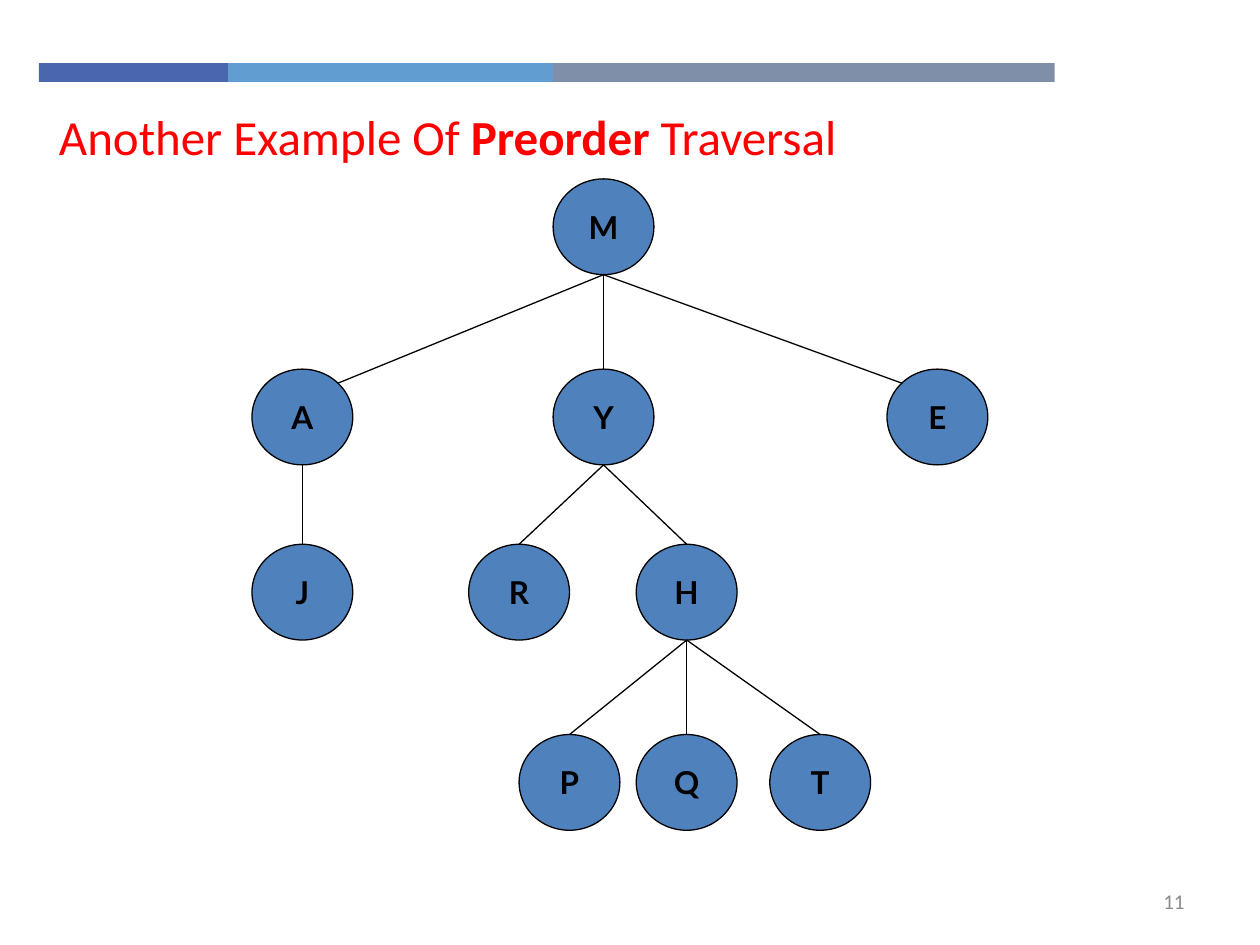
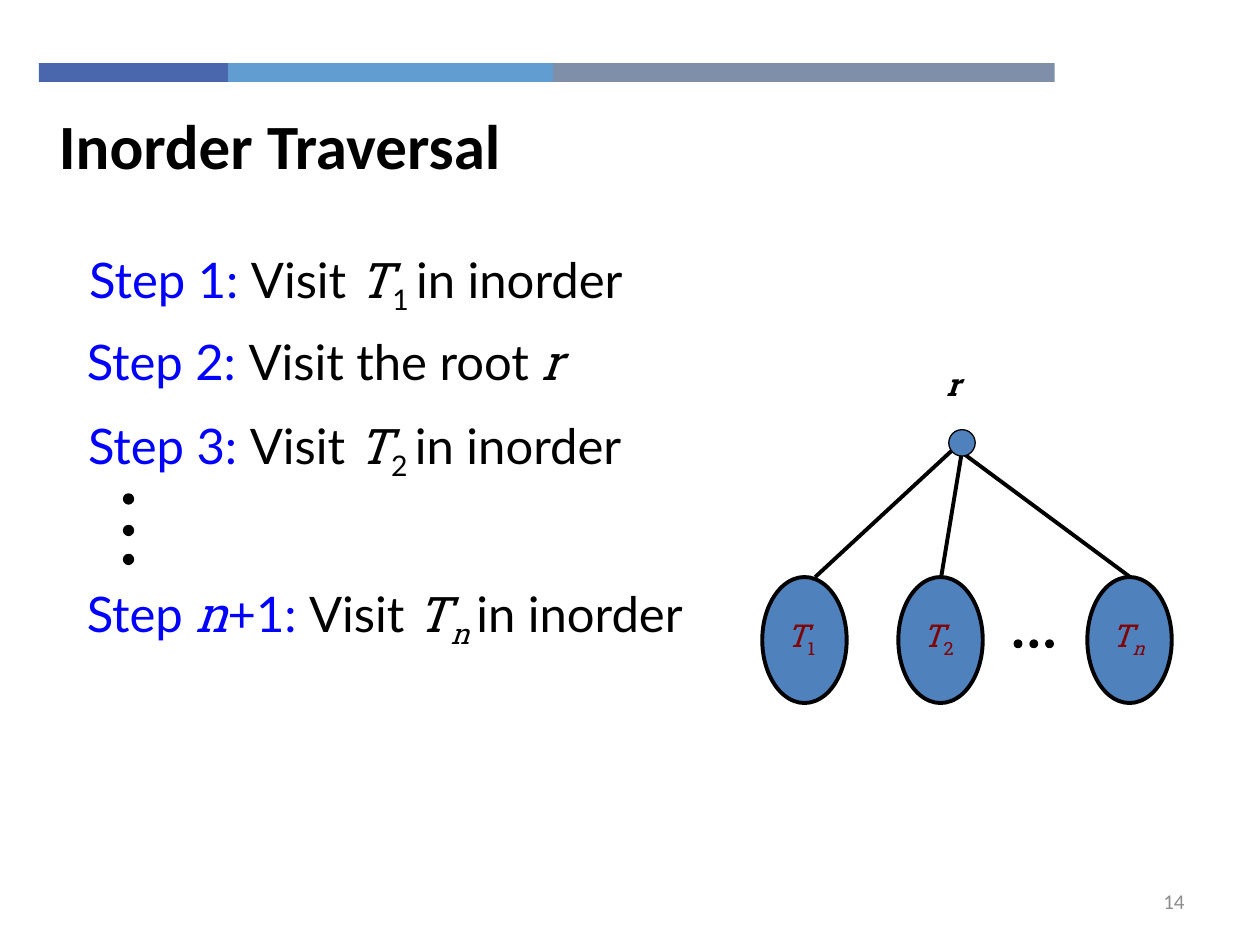
from math import sqrt
from lxml.etree import SubElement
from pptx import Presentation
from pptx.dml.color import RGBColor
from pptx.enum.shapes import MSO_CONNECTOR, MSO_SHAPE
from pptx.enum.text import MSO_ANCHOR, PP_ALIGN
from pptx.oxml.ns import qn
from pptx.util import Inches, Pt


def tint(code):
    return RGBColor.from_string(code)


class Deck:
    """Holds the shared style and the current slide."""
    BLACK, BLUE, RED = "000000", "0000FF", "FF0000"
    NODE, LABEL, GREY = "4F81BD", "800000", "8C8C8C"
    HEAD, BODY, MATH = "Calibri", "Lato", "Roboto Slab"
    BANDS = [(1.5, "4A66AC"), (2.58, "629DD1"), (3.98, "7F8FA9")]

    def __init__(self):
        self.file = Presentation()
        self.file.slide_width, self.file.slide_height = Inches(10), Inches(7.5)

    def page(self, title, size, color, number):
        """Start a slide with its bands, title and number."""
        self.slide = self.file.slides.add_slide(self.file.slide_layouts[6])
        left = 0.31
        for width, fill in self.BANDS:
            self.shape(MSO_SHAPE.RECTANGLE, left, 0.5, width, 0.15, fill)
            left += width
        self.text(0.37, 0.8, 7.16, 0.54, title, size, self.HEAD, color)
        self.text(7.17, 6.95, 2.33, 0.4, [(number, "")], 12, self.HEAD,
                  self.GREY, PP_ALIGN.RIGHT, MSO_ANCHOR.MIDDLE)

    def shape(self, kind, left, top, width, height, fill, line=0):
        item = self.slide.shapes.add_shape(
            kind, Inches(left), Inches(top), Inches(width), Inches(height))
        item.shadow.inherit = False
        item.fill.solid()
        item.fill.fore_color.rgb = tint(fill)
        if line:
            item.line.color.rgb = tint(self.BLACK)
            item.line.width = Pt(line)
        else:
            item.line.fill.background()
        return item

    def oval(self, left, top, width, height, fill=NODE, line=0.75):
        return self.shape(MSO_SHAPE.OVAL, left, top, width, height, fill, line)

    def line(self, start, end, width=0.75):
        item = self.slide.shapes.add_connector(
            MSO_CONNECTOR.STRAIGHT, *(Inches(v) for v in (*start, *end)))
        item.line.color.rgb = tint(self.BLACK)
        item.line.width = Pt(width)
        SubElement(item._element.spPr, qn("a:effectLst"))

    def text(self, left, top, width, height, runs, size, font,
             color=BLACK, align=PP_ALIGN.LEFT, anchor=MSO_ANCHOR.TOP, wrap=True):
        box = self.slide.shapes.add_textbox(
            Inches(left), Inches(top), Inches(width), Inches(height))
        self.label(box.text_frame, runs, size, font, color, align, anchor, wrap)

    def label(self, frame, runs, size, font, color, align, anchor, wrap):
        """Run flags: b bold, i italic, m math font, s subscript, c blue."""
        frame.word_wrap, frame.vertical_anchor = wrap, anchor
        par = frame.paragraphs[0]
        par.alignment = align
        par.font.size, par.font.name = Pt(size), font
        par.font.color.rgb = tint(color)
        for words, flags in runs:
            run = par.add_run()
            run.text = words
            if "b" in flags:
                run.font.bold = True
            if "i" in flags:
                run.font.italic = True
            if "m" in flags:
                run.font.name = self.MATH
            if "c" in flags:
                run.font.color.rgb = tint(self.BLUE)
            if "s" in flags:
                run._r.get_or_add_rPr().set("baseline", "-25000")


deck = Deck()

# Slide 1: preorder example
deck.page([("Another Example Of ", ""), ("Preorder", "b"), (" Traversal", "")],
          28, deck.RED, "11")
WIDE, HIGH = 0.8, 0.76
ROWS = [1.42, 2.93, 4.32, 5.83]
NODES = {"M": (4.39, 0), "A": (2, 1), "Y": (4.39, 1), "E": (7.04, 1),
         "J": (2, 2), "R": (3.72, 2), "H": (5.05, 2),
         "P": (4.12, 3), "Q": (5.05, 3), "T": (6.11, 3)}
for name, (left, row) in NODES.items():
    node = deck.oval(left, ROWS[row], WIDE, HIGH)
    deck.label(node.text_frame, [(name, "b")], 18, deck.BODY, deck.BLACK,
               PP_ALIGN.CENTER, MSO_ANCHOR.MIDDLE, False)


def rim(name, dx, dy):
    """Point on a node's edge, in the direction of a unit vector."""
    left, row = NODES[name]
    return left + WIDE / 2 * (1 + dx), ROWS[row] + HIGH / 2 * (1 + dy)


SLANT = 1 / sqrt(2)
SIDES = {"A": (SLANT, -SLANT), "E": (-SLANT, -SLANT)}
for top, kids in {"M": "AYE", "Y": "RH", "A": "J", "H": "PQT"}.items():
    for kid in kids:
        deck.line(rim(top, 0, 1), rim(kid, *SIDES.get(kid, (0, -1))))

# Slide 2: inorder steps
deck.page([("Inorder Traversal", "b")], 36, deck.BLACK, "14")


def visit(sub, flags):
    return [("Visit ", ""), ("T", "im"), (sub + " ", flags), ("in inorder", "")]


STEPS = [
    (0.61, 1.93, 4.87, [("Step 1: ", "c")] + visit("1", "s")),
    (0.59, 2.58, 4.51,
     [("Step 2: ", "c"), ("Visit the root ", ""), ("r", "im")]),
    (0.6, 3.25, 4.91, [("Step 3: ", "c")] + visit("2", "s")),
    (0.59, 4.58, 5.48,
     [("Step ", "c"), ("n", "cim"), ("+1: ", "c")] + visit("n", "ims")),
]
for left, top, width, runs in STEPS:
    deck.text(left, top, width, 0.57, runs, 28, deck.BODY)
for top in (3.92, 4.17, 4.4):
    deck.oval(0.98, top, 0.08, 0.08, deck.BLACK)

# Root with its subtrees
TREES = [(6.05, "1", "ms", (7.55, 3.58), 6.47),
         (7.13, "2", "ms", (7.63, 3.61), 7.47),
         (8.63, "n", "ims", (7.66, 3.61), 8.97)]
for left, sub, flags, start, end in TREES:
    deck.line(start, (end, 4.58), 2.25)
    deck.oval(left, 4.58, 0.67, 1, line=2.25)
    deck.text(left + 0.09, 4.84, 0.54, 0.5, [("T", "im"), (sub, flags)],
              18, deck.MATH, deck.LABEL, wrap=False)
for step in range(3):
    deck.oval(8.05 + 0.125 * step, 5.08, 0.06, 0.06, deck.BLACK)
deck.text(7.41, 2.85, 0.33, 0.4, [("r", "bi")], 18, deck.MATH, wrap=False)
deck.oval(7.53, 3.41, 0.21, 0.21)

deck.file.save("out.pptx")
